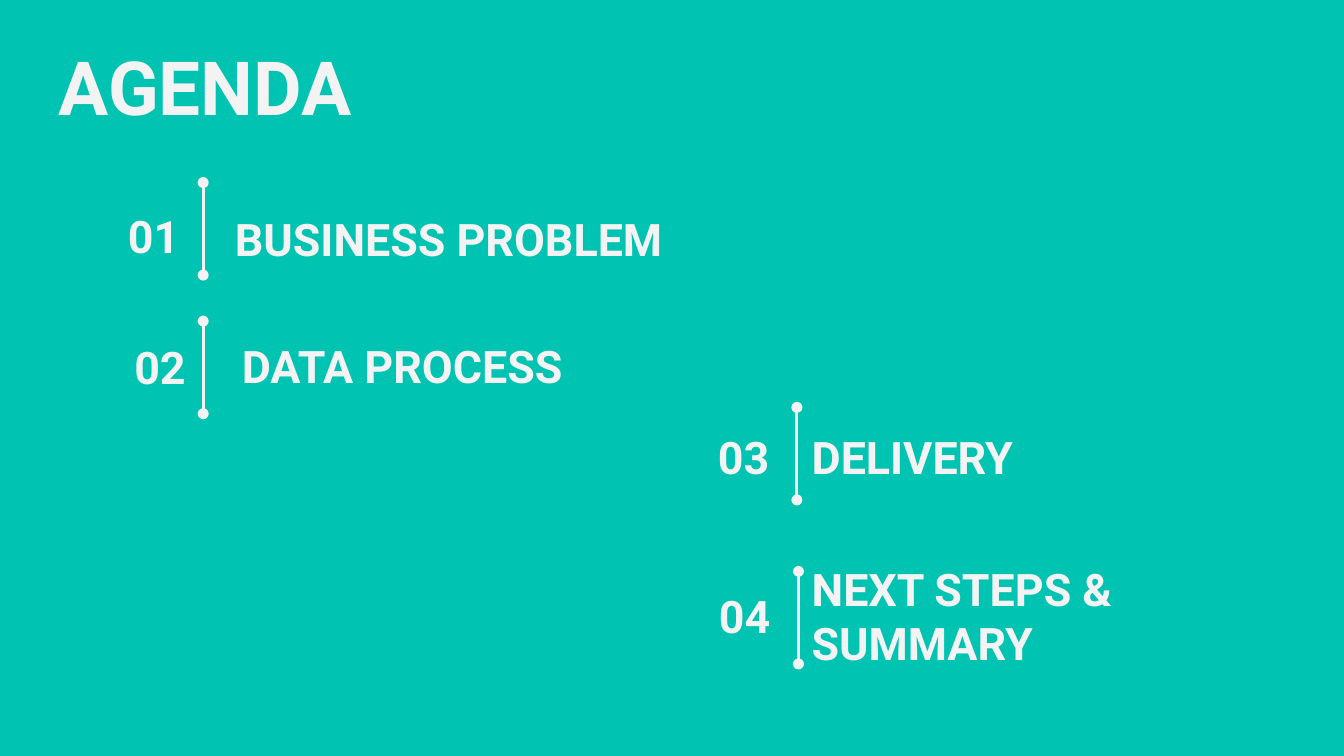
from lxml import etree
from pptx import Presentation
from pptx.dml.color import RGBColor
from pptx.enum.shapes import MSO_CONNECTOR
from pptx.enum.text import MSO_ANCHOR, PP_ALIGN
from pptx.oxml.ns import qn
from pptx.util import Cm, Pt

TEAL = RGBColor(0x00, 0xC3, 0xB1)
WHITE = RGBColor(0xF3, 0xF3, 0xF3)
FONT = "Roboto"

# Content, with positions in cm:
# number, label, number (left, top), label (left, top, width, height), rule (x, top)
TITLE = "AGENDA"
ITEMS = [
    ("01", "BUSINESS PROBLEM", (1.96, 3.86), (4.19, 4.04, 11.43, 0.94), (3.84, 3.45)),
    ("02", "DATA PROCESS", (2.08, 6.35), (4.32, 6.32, 9.47, 1.17), (3.84, 6.07)),
    ("03", "DELIVERY", (13.11, 8.05), (15.09, 8.05, 6.5, 1.17), (15.06, 7.7)),
    ("04", "NEXT STEPS & SUMMARY", (13.13, 11.05), (15.09, 11.05, 10.16, 1.17), (15.09, 10.8)),
]
NUMBER_SIZE = (1.68, 1.17)
RULE_LENGTH = 1.75

prs = Presentation()
prs.slide_width, prs.slide_height = Cm(25.4), Cm(14.29)
s = prs.slides.add_slide(prs.slide_layouts[6])
s.background.fill.solid()
s.background.fill.fore_color.rgb = TEAL


def add_text(text, box, size=24, align=PP_ALIGN.LEFT):
    tf = s.shapes.add_textbox(*map(Cm, box)).text_frame
    tf.word_wrap = True
    tf.vertical_anchor = MSO_ANCHOR.MIDDLE
    tf.margin_left = tf.margin_right = tf.margin_top = tf.margin_bottom = Cm(0.25)
    p = tf.paragraphs[0]
    p.alignment = align
    r = p.add_run()
    r.text = text
    r.font.name, r.font.size, r.font.bold = FONT, Pt(size), True
    r.font.color.rgb = WHITE


def add_rule(x, top):
    sp = s.shapes.add_connector(
        MSO_CONNECTOR.STRAIGHT, Cm(x), Cm(top), Cm(x), Cm(top + RULE_LENGTH))
    sp.line.color.rgb = WHITE
    sp.line.width = Pt(1.5)
    # Round ends, no shadow
    ln = sp.line._get_or_add_ln()
    for end in ("a:headEnd", "a:tailEnd"):
        etree.SubElement(ln, qn(end), type="oval")
    etree.SubElement(sp._element.spPr, qn("a:effectLst"))


# Heading
add_text(TITLE, (0.86, 1.04, 6.5, 1.17), size=40)

# Agenda items
for number, label, number_at, label_box, rule_at in ITEMS:
    add_text(label, label_box)
    add_text(number, number_at + NUMBER_SIZE, align=PP_ALIGN.RIGHT)
    add_rule(*rule_at)

prs.save("out.pptx")
